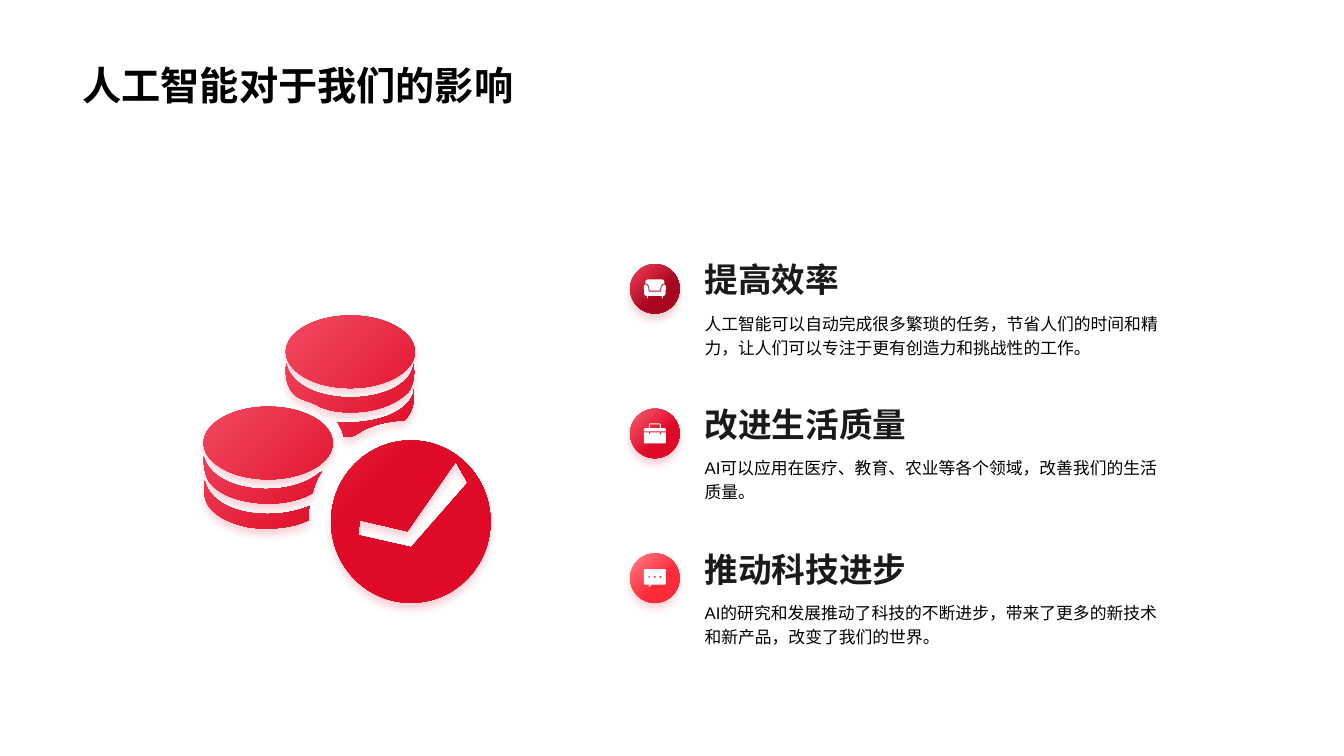
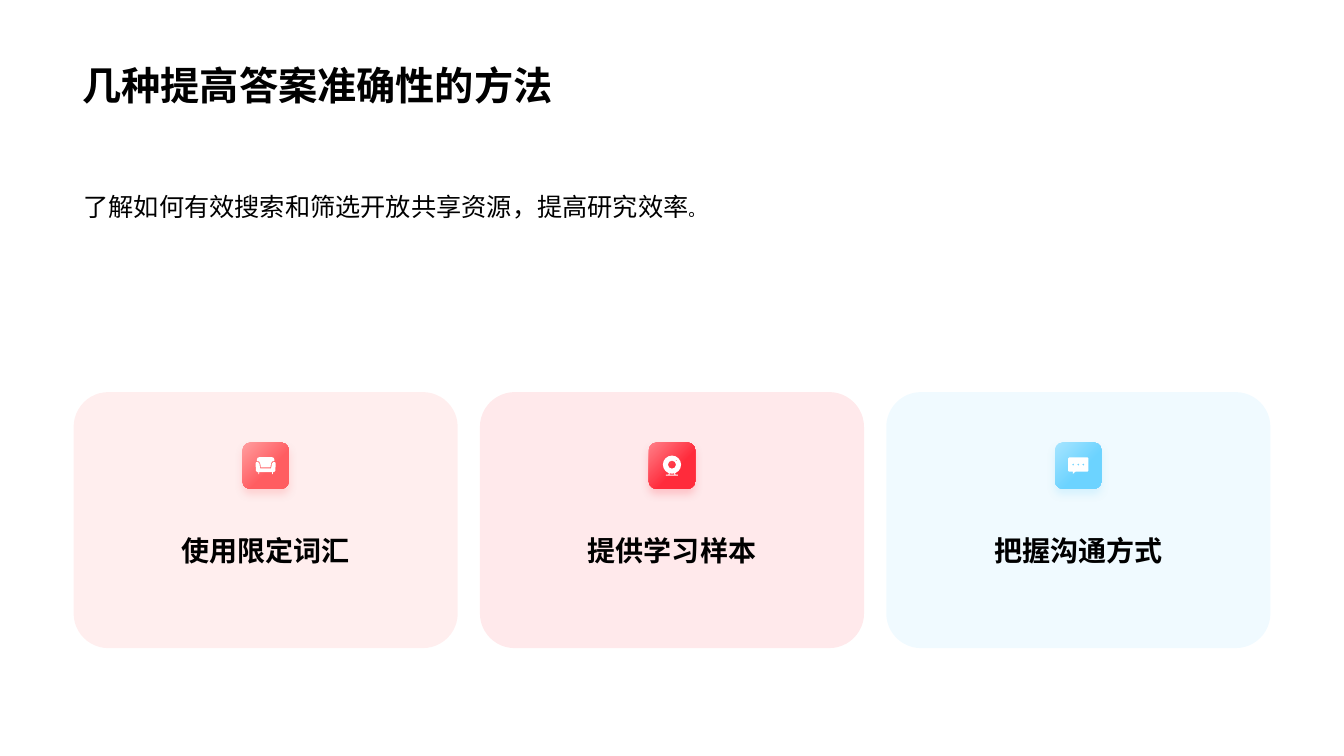
from itertools import pairwise

from lxml.etree import SubElement
from pptx import Presentation
from pptx.dml.color import RGBColor
from pptx.enum.shapes import MSO_SHAPE as Preset
from pptx.enum.text import MSO_ANCHOR as Anchor, PP_ALIGN as Align
from pptx.oxml.ns import qn
from pptx.util import Inches, Pt

FONT = "Arial"
BLACK, INK, WHITE = "000000", "1A1A1A", "FFFFFF"
CRIMSON = ("F86075", "DF0A27")
MAROON = ("F6405A", "A8081F")
SCARLET = ("FF8089", "FF2B3B")
CORAL = ("FF9EA0", "FF5D61")
SKY = ("A7E5FF", "6CD3FF")

COINS = (288, 285, """
    E 149.5 36 64 36  E 68 126.5 64 36  E 209.5 204.5 79 80.5
    M 99 82 C 103 84 108 85 112 87 C 116 88 119 91 123 92 C 136 97 156 97 171 94
    C 186 91 199 84 207 76 C 212 69 214 59 212 48 C 212 52 211 55 209 58
    C 189 91 96 90 86 48 C 84 65 89 77 99 82
    M 137 106 C 139 110 142 114 143 120 C 153 122 156 117 162 114
    C 174 108 186 105 203 104 C 210 98 214 87 212 73 C 212 75 212 77 212 78
    C 203 100 167 108 137 106
    M 119 156 C 91 181 15 178 4 140 C 4 152 6 161 11 167 C 30 189 85 193 112 176
    C 114 168 117 161 121 155 L 119 156
    M 5 164 C 5 170 4 178 6 183 C 11 198 30 206 48 210 C 69 213 92 211 108 203
    C 108 198 108 194 109 189 C 75 204 14 199 5 164
    M 210 230 L 157 218 L 159 203 L 206 214 L 254 145 L 266 166""")
SOFA = (220, 186, """
    M 200 50 C 212 50 220 60 220 72 L 215 150 C 215 158 208 164 200 164
    L 190 164 L 190 186 L 180 186 L 180 164 L 40 164 L 40 186 L 30 186 L 30 164
    L 20 164 C 12 164 5 158 5 150 L 0 72 C 0 60 8 50 20 50 C 30 50 40 58 42 68
    L 50 122 L 170 122 L 178 68 C 180 58 190 50 200 50
    M 180 0 C 195 0 205 12 205 26 L 205 40 C 185 40 172 50 169 66 L 162 112
    L 58 112 L 51 66 C 48 50 35 40 15 40 L 15 26 C 15 12 25 0 40 0""")
BRIEFCASE = (220, 200, """
    M 0 90 L 50 90 L 50 110 L 60 110 L 60 90 L 160 90 L 160 110 L 170 110
    L 170 90 L 220 90 L 220 200 L 0 200
    M 0 80 L 0 60 C 0 54 4 48 10 48 L 50 48 L 50 15 C 50 6 56 0 65 0 L 155 0
    C 164 0 170 6 170 15 L 170 48 L 210 48 C 216 48 220 54 220 60 L 220 80
    M 60 48 L 60 10 L 160 10 L 160 48""")
BUBBLE = (220, 180, """
    M 210 0 C 216 0 220 4 220 10 L 220 145 C 220 151 216 155 210 155 L 80 155
    L 50 180 L 50 155 L 10 155 C 4 155 0 151 0 145 L 0 10 C 0 4 4 0 10 0
    E 55 78 13 13  E 110 78 13 13  E 165 78 13 13""")
WEBCAM = (180, 200, """
    E 90 90 90 90  E 90 90 40 40  E 132 48 7 7
    M 60 176 L 68 178 L 64 190 L 54 190  M 120 176 L 112 178 L 116 190 L 126 190
    M 30 190 L 150 190 L 150 200 L 30 200""")

IMPACTS = [
    (MAROON, SOFA, "提高效率",
     "人工智能可以自动完成很多繁琐的任务，节省人们的时间和精力，让人们可以专注于更有创造力和挑战性的工作。"),
    (CRIMSON, BRIEFCASE, "改进生活质量",
     "AI可以应用在医疗、教育、农业等各个领域，改善我们的生活质量。"),
    (SCARLET, BUBBLE, "推动科技进步",
     "AI的研究和发展推动了科技的不断进步，带来了更多的新技术和新产品，改变了我们的世界。"),
]
METHODS = [
    (CORAL, SOFA, "使用限定词汇"),
    (SCARLET, WEBCAM, "提供学习样本"),
    (SKY, BUBBLE, "把握沟通方式"),
]


def rgb(value):
    """Turn a hex string into a colour."""
    return RGBColor.from_string(value)


def box_of(*lengths):
    """Turn inches into lengths."""
    return [Inches(length) for length in lengths]


def ellipse_steps(cx, cy, rx, ry):
    """Return the start point and four curves of an ellipse."""
    bend = 0.5523
    compass = [(1, 0), (0, 1), (-1, 0), (0, -1), (1, 0)]
    steps = [[(cx + rx, cy)]]
    for (ax, ay), (bx, by) in pairwise(compass):
        corners = [(ax + bend * bx, ay + bend * by), (bx + bend * ax, by + bend * ay),
                   (bx, by)]
        steps.append([(cx + rx * x, cy + ry * y) for x, y in corners])
    return steps


def contours(outline, unit):
    """Return contours as lists of steps: one point for a line, three for a curve."""
    tokens = iter(outline.split())
    found = []
    for kind in tokens:
        count = {"M": 2, "L": 2, "C": 6, "E": 4}[kind]
        values = [float(next(tokens)) * unit for _ in range(count)]
        if kind == "E":
            found.append(ellipse_steps(*values))
            continue
        if kind == "M":
            found.append([])
        found[-1].append(list(zip(values[::2], values[1::2])))
    return found


def paint(shape, color, alpha=None):
    """Fill a shape plainly, without line or shadow."""
    shape.shadow.inherit = False
    shape.line.fill.background()
    shape.fill.solid()
    shape.fill.fore_color.rgb = rgb(color)
    if alpha:
        tint = next(shape._element.spPr.iter(qn("a:srgbClr")))
        SubElement(tint, qn("a:alpha"), val=str(alpha * 1000))


def glow(shape, shades):
    """Give a shape a diagonal gradient and a soft shadow in its deeper shade."""
    paint(shape, shades[1])
    shape.fill.gradient()
    shape.fill.gradient_angle = 315
    for stop, shade, position in zip(shape.fill.gradient_stops, shades, (0, 0.6)):
        stop.color.rgb = rgb(shade)
        stop.position = position
    effects = shape._element.spPr.find(qn("a:effectLst"))
    shadow = SubElement(effects, qn("a:outerShdw"), blurRad=str(Pt(6)), dist=str(Pt(4)),
                        dir="5400000", algn="t", rotWithShape="0")
    tint = SubElement(shadow, qn("a:srgbClr"), val=shades[1])
    SubElement(tint, qn("a:alpha"), val="20000")


def draw(slide, left, top, width, drawing):
    """Draw an outline at the given width, bending the lines that are curves."""
    builder = None
    segments = []
    for start, *steps in contours(drawing[2], Inches(width) / drawing[0]):
        if builder is None:
            builder = slide.shapes.build_freeform(*start[0])
        else:
            builder.move_to(*start[0])
        builder.add_line_segments([step[-1] for step in steps], close=True)
        segments += steps
    shape = builder.convert_to_shape(Inches(left), Inches(top))
    shift_x, shift_y = shape.left - Inches(left), shape.top - Inches(top)
    lines = list(shape._element.iter(qn("a:lnTo")))
    for line, (*controls, _) in zip(lines, segments):
        if controls:
            end = line[0]
            line.tag = qn("a:cubicBezTo")
            for x, y in controls:
                SubElement(line, qn("a:pt"), x=str(round(x - shift_x)),
                           y=str(round(y - shift_y)))
            line.append(end)
    return shape


def write(slide, box, runs, anchor=Anchor.TOP, **paragraph_format):
    """Write one paragraph of (text, size, colour, bold) runs."""
    frame = slide.shapes.add_textbox(*box_of(*box)).text_frame
    frame.word_wrap = True
    frame.vertical_anchor = anchor
    paragraph = frame.paragraphs[0]
    for name, value in paragraph_format.items():
        setattr(paragraph, name, value)
    for text, size, color, bold in runs:
        run = paragraph.add_run()
        run.text = text
        for name, value in {"name": FONT, "size": Pt(size), "bold": bold}.items():
            setattr(run.font, name, value)
        run.font.color.rgb = rgb(color)


def titled_slide(deck, title):
    """Add a blank slide with the shared title."""
    slide = deck.slides.add_slide(deck.slide_layouts[6])
    write(slide, (0.72, 0, 11.88, 1.12), [(title, 28, BLACK, True)], Anchor.BOTTOM)
    return slide


def badge(slide, preset, left, top, size, shades, icon, icon_width):
    """Place a glowing tile with a white icon at its centre."""
    glow(slide.shapes.add_shape(preset, *box_of(left, top, size, size)), shades)
    icon_height = icon_width * icon[1] / icon[0]
    paint(draw(slide, left + (size - icon_width) / 2, top + (size - icon_height) / 2,
               icon_width, icon), WHITE)


def impact_row(slide, left, top, shades, icon, heading, detail):
    """Place a badge with its heading and detail to the right."""
    badge(slide, Preset.OVAL, left, top, 0.49, shades, icon, 0.22)
    text_left = left + 0.64
    write(slide, (text_left, top + 0.4, 4.84, 0.56), [(detail, 12, BLACK, False)],
          line_spacing=1.2)
    write(slide, (text_left, top, 3.57, 0.4), [(heading, 24, INK, True)], Anchor.BOTTOM)


def method_card(slide, left, top, shades, icon, heading):
    """Place a tinted card with a centred badge and heading."""
    width, tile = 3.81, 0.46
    card = slide.shapes.add_shape(Preset.ROUNDED_RECTANGLE, *box_of(left, top, width, 2.54))
    card.adjustments[0] = 0.136
    paint(card, shades[1], alpha=10)
    write(slide, (left + 0.61, top + 1.11, 2.59, 0.68), [(heading, 20, BLACK, True)],
          Anchor.BOTTOM, alignment=Align.CENTER)
    badge(slide, Preset.ROUNDED_RECTANGLE, left + (width - tile) / 2, top + 0.5, tile,
          shades, icon, 0.18 if icon is WEBCAM else 0.2)


def impact_slide(deck):
    """Build the slide on the impact of AI."""
    slide = titled_slide(deck, "人工智能对于我们的影响")
    glow(draw(slide, 1.98, 3.13, 2.88, COINS), CRIMSON)
    for index, impact in enumerate(IMPACTS):
        impact_row(slide, 6.25, 2.62 + 1.435 * index, *impact)


def method_slide(deck):
    """Build the slide on ways to get accurate answers."""
    slide = titled_slide(deck, "几种提高答案准确性的方法")
    write(slide, (0.73, 1.79, 7.02, 0.43),
          [("了解如何有效搜索和筛选开放共享资源，提高研究效率", 18, BLACK, False),
           ("。", 12, BLACK, False)], line_spacing=1.2)
    for index, method in enumerate(METHODS):
        method_card(slide, 0.73 + 4.03 * index, 3.89, *method)


def main():
    """Build and save the deck."""
    deck = Presentation()
    deck.slide_width, deck.slide_height = box_of(13.33, 7.5)
    impact_slide(deck)
    method_slide(deck)
    deck.save("out.pptx")


if __name__ == "__main__":
    main()
